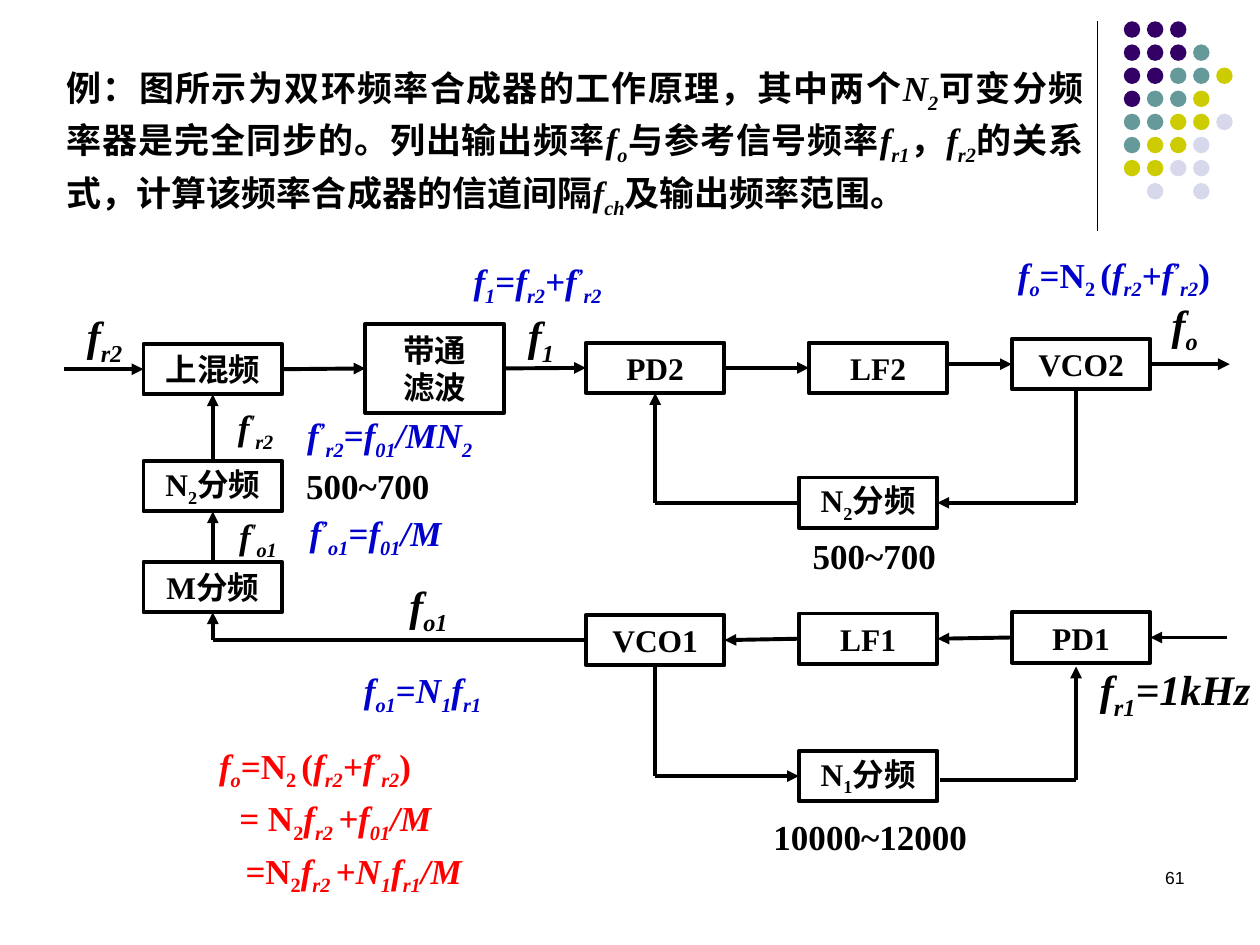
from lxml.etree import SubElement
from pptx import Presentation
from pptx.dml.color import RGBColor
from pptx.enum.shapes import MSO_CONNECTOR, MSO_SHAPE
from pptx.enum.text import MSO_ANCHOR, PP_ALIGN
from pptx.oxml.ns import qn
from pptx.util import Pt

C = {"black": "000000", "white": "FFFFFF", "blue": "0000CC", "red": "FF0000",
     "P": "330066", "T": "669999", "Y": "CCCC00", "L": "D8D8EC"}
DOTS = ["PPP", "PPPT", "PPTTY", "PTTY", "TTYYL", "TYYL", "YYLL", " L L"]
TOP, LEFT, BOTTOM, RIGHT = range(4)
BOX_W, BOX_H = 79.2, 28.8

# Prefix of a text piece: (italic, baseline)
STYLES = {"*": (True, 0), "_": (True, -25000), "-": (False, -25000), "^": (True, 30000)}

FO = "*f|_o|=N|-2 |(|*f|_r2|*+f|^’|_r2|)"
TITLE = ("例：图所示为双环频率合成器的工作原理，其中两个|*N|_2|可变分频率器是完全同步的。"
         "列出输出频率|*f|_o|与参考信号频率|*f|_r1|，|*f|_r2|"
         "的关系式，计算该频率合成器的信道间隔|*f|_ch|及输出频率范围。")

# left, top, width, height, size, colour, text
LABELS = [
    (42.5, 173.5, 39.6, 36, 24, "black", "*f|_r2"),
    (128.9, 228.2, 43.9, 31.7, 20, "black", "*f|^'|_r2"),
    (129.6, 290.2, 43.9, 31.7, 20, "black", "*f|^'|_o1"),
    (226.8, 327.6, 43.9, 36, 24, "black", "*f|_o1"),
    (621.4, 375.8, 114.5, 36, 24, "black", "*f|_r1|*=1kHz"),
    (662.4, 167, 43.9, 36, 24, "black", "*f|_o"),
    (294.5, 173.5, 43.9, 36, 24, "black", "*f|_1"),
    (457.2, 301.7, 157.7, 31.7, 20, "black", "500~700"),
    (167.8, 262.1, 157.7, 31.7, 20, "black", "500~700"),
    (434.9, 462.2, 157.7, 31.7, 20, "black", "10000~12000"),
    (200.9, 378.7, 187.2, 31.7, 20, "blue", "*f|_o1|=|*N|_1|*f|_r1"),
    (168.5, 232.6, 187.2, 31.7, 20, "blue", "*f|^’|_r2|=|*f|_01|*/MN|_2"),
    (169.9, 288.7, 187.2, 31.7, 20, "blue", "*f|^’|_o1|=|*f|_01|*/M"),
    (263.5, 144.7, 102.2, 31.7, 20, "blue", "*f|_1|=|*f|_r2|*+f|^’|_r2"),
    (574.6, 141.1, 139.7, 31.7, 20, "blue", FO),
]


def rgb(name):
    return RGBColor.from_string(C[name])


def write(p, text, size, color, font="Times New Roman", bold=True):
    """Fill a paragraph with pieces split by |, each styled by its prefix."""
    f = p.font
    f.name, f.size, f.bold = font, Pt(size), bold
    f.color.rgb = rgb(color)
    for piece in text.split("|"):
        r = p.add_run()
        if piece[0] in STYLES:
            italic, baseline = STYLES[piece[0]]
            r.text = piece[1:]
            r.font.italic = italic
            if baseline:
                r.font._element.set("baseline", str(baseline))
        else:
            r.text = piece


def text_box(s, left, top, width, height):
    tf = s.shapes.add_textbox(Pt(left), Pt(top), Pt(width), Pt(height)).text_frame
    tf.word_wrap = True
    return tf


def box(s, left, top, *lines, height=BOX_H):
    sp = s.shapes.add_shape(MSO_SHAPE.RECTANGLE, Pt(left), Pt(top), Pt(BOX_W), Pt(height))
    sp.shadow.inherit = False
    sp.fill.solid()
    sp.fill.fore_color.rgb = rgb("white")
    sp.line.color.rgb = rgb("black")
    sp.line.width = Pt(2.25)
    tf = sp.text_frame
    tf.word_wrap = False
    tf.vertical_anchor = MSO_ANCHOR.MIDDLE
    for i, line in enumerate(lines):
        p = tf.add_paragraph() if i else tf.paragraphs[0]
        p.alignment = PP_ALIGN.CENTER
        write(p, line, 18, "black")
    return sp


def wire(s, start, end, arrow=True, width=2.25):
    """Each end is a point (x, y) or a joint (box, side)."""
    cn = s.shapes.add_connector(MSO_CONNECTOR.STRAIGHT, 0, 0, 0, 0)
    if isinstance(start[0], (int, float)):
        cn.begin_x, cn.begin_y = Pt(start[0]), Pt(start[1])
    else:
        cn.begin_connect(*start)
    if isinstance(end[0], (int, float)):
        cn.end_x, cn.end_y = Pt(end[0]), Pt(end[1])
    else:
        cn.end_connect(*end)
    cn.line.color.rgb = rgb("black")
    cn.line.width = Pt(width)
    if arrow:
        SubElement(cn.line._get_or_add_ln(), qn("a:tailEnd"), type="triangle")
    SubElement(cn._element.spPr, qn("a:effectLst"))


def dot_pattern(s):
    group = s.shapes.add_group_shape()
    for row, keys in enumerate(DOTS):
        for col, key in enumerate(keys):
            if key == " ":
                continue
            sp = group.shapes.add_shape(MSO_SHAPE.OVAL, Pt(642.2 + 13.2 * col),
                                        Pt(12.2 + 13.2 * row), Pt(9.4), Pt(9.4))
            sp.shadow.inherit = False
            sp.fill.solid()
            sp.fill.fore_color.rgb = rgb(key)
            sp.line.fill.background()


def diagram(s):
    # Blocks of the upper loop
    mixer = box(s, 82, 196.6, "上混频")
    band_pass = box(s, 208.8, 185, "带通", "滤波", height=51.1)
    pd2 = box(s, 334.8, 195.8, "PD2")
    lf2 = box(s, 462.2, 195.8, "LF2")
    vco2 = box(s, 578.2, 193.7, "VCO2")
    loop_n2 = box(s, 456.5, 272.9, "N|-2|分频")

    # Blocks of the lower loop and the divider chain
    div_n2 = box(s, 82, 263.5, "N|-2|分频")
    div_m = box(s, 82, 321.1, "M分频")
    vco1 = box(s, 334.8, 351.4, "VCO1")
    lf1 = box(s, 456.5, 350.6, "LF1")
    pd1 = box(s, 578.2, 349.9, "PD1")
    div_n1 = box(s, 456.5, 429.1, "N|-1|分频")

    # Upper signal path
    wire(s, (36.7, 211), (mixer, LEFT))
    wire(s, (mixer, RIGHT), (band_pass, LEFT))
    wire(s, (band_pass, RIGHT), (pd2, LEFT))
    wire(s, (pd2, RIGHT), (lf2, LEFT))
    wire(s, (541.4, 208.1), (vco2, LEFT))
    wire(s, (vco2, RIGHT), (702.7, 208.1))

    # Upper feedback
    wire(s, (614.9, 222.5), (614.9, 287.3), arrow=False)
    wire(s, (614.9, 287.3), (loop_n2, RIGHT))
    wire(s, (loop_n2, LEFT), (374.4, 287.3), arrow=False)
    wire(s, (374.4, 287.3), (pd2, BOTTOM))

    # Divider chain up to the mixer
    wire(s, (div_n2, TOP), (mixer, BOTTOM))
    wire(s, (div_m, TOP), (div_n2, BOTTOM))
    wire(s, (121.6, 365.8), (div_m, BOTTOM))
    wire(s, (vco1, LEFT), (121.6, 365.8), arrow=False)

    # Lower signal path and feedback
    wire(s, (701.3, 364.3), (pd1, RIGHT))
    wire(s, (pd1, LEFT), (lf1, RIGHT))
    wire(s, (lf1, LEFT), (vco1, RIGHT))
    wire(s, (vco1, BOTTOM), (374.4, 443.5), arrow=False)
    wire(s, (374.4, 443.5), (div_n1, LEFT))
    wire(s, (537.1, 445.7), (614.9, 445.7), arrow=False)
    wire(s, (614.9, 445.7), (614.9, 380.9))


def derivation(s):
    tf = text_box(s, 118.1, 419, 216.7, 122.4)
    lines = [(0, FO),
             (11.5, "*=| N|-2|*f|_r2 |*+f|_01|*/M"),
             (15, "*=|N|-2|*f|_r2 |*+N|_1|*f|_r1|*/M")]
    for i, (indent, line) in enumerate(lines):
        p = tf.add_paragraph() if i else tf.paragraphs[0]
        p.line_spacing = Pt(30)
        p._p.get_or_add_pPr().set("marL", str(Pt(indent)))
        write(p, line, 20, "red")


def main():
    prs = Presentation()
    prs.slide_width, prs.slide_height = Pt(720), Pt(540)
    s = prs.slides.add_slide(prs.slide_layouts[6])

    # Corner decoration
    wire(s, (627.1, 12.2), (627.1, 131.8), arrow=False, width=0.75)
    dot_pattern(s)

    # Problem statement
    p = text_box(s, 31, 31.7, 595.4, 95).paragraphs[0]
    p.alignment = PP_ALIGN.JUSTIFY
    p.line_spacing = Pt(30)
    write(p, TITLE, 20, "black")

    # Block diagram with its labels
    diagram(s)
    for *place, size, color, text in LABELS:
        write(text_box(s, *place).paragraphs[0], text, size, color)
    derivation(s)

    # Page number
    p = text_box(s, 516.2, 491.8, 167.8, 36).paragraphs[0]
    p.alignment = PP_ALIGN.RIGHT
    write(p, "61", 10, "black", font="Arial", bold=False)

    prs.save("out.pptx")


if __name__ == "__main__":
    main()
